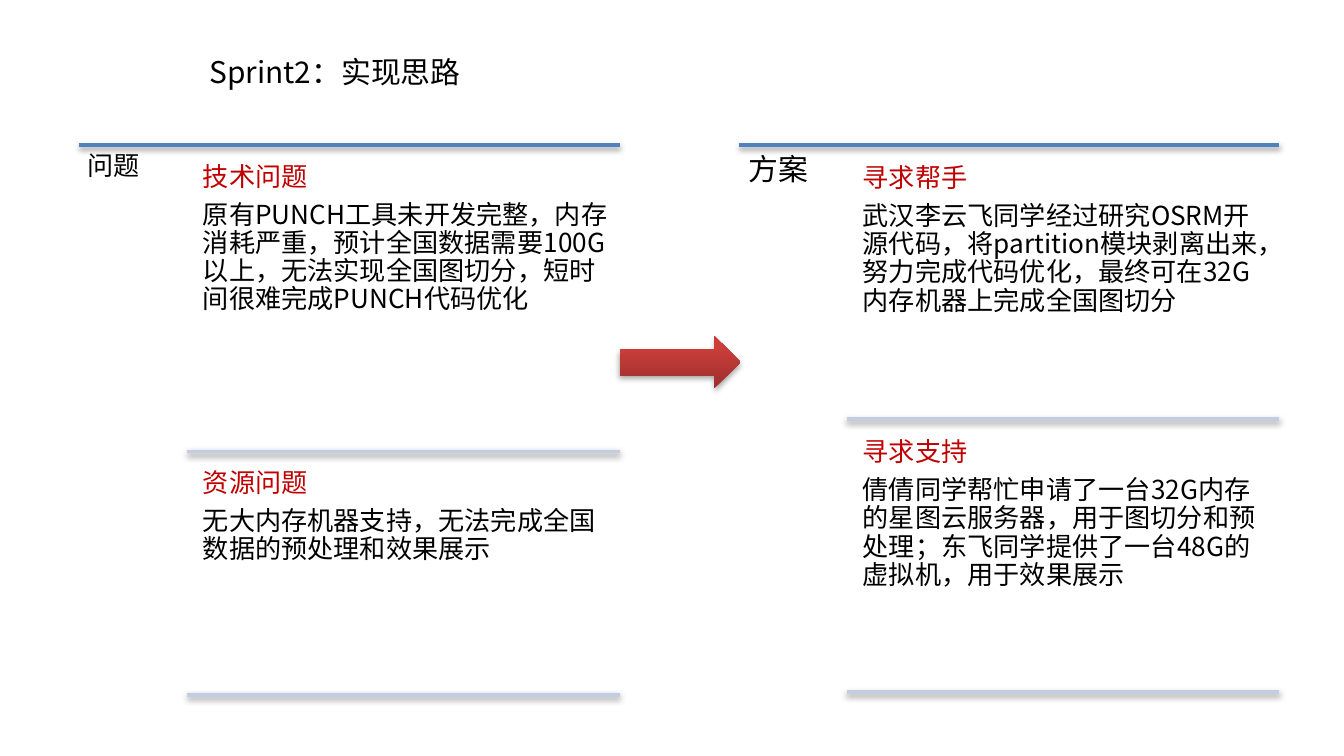
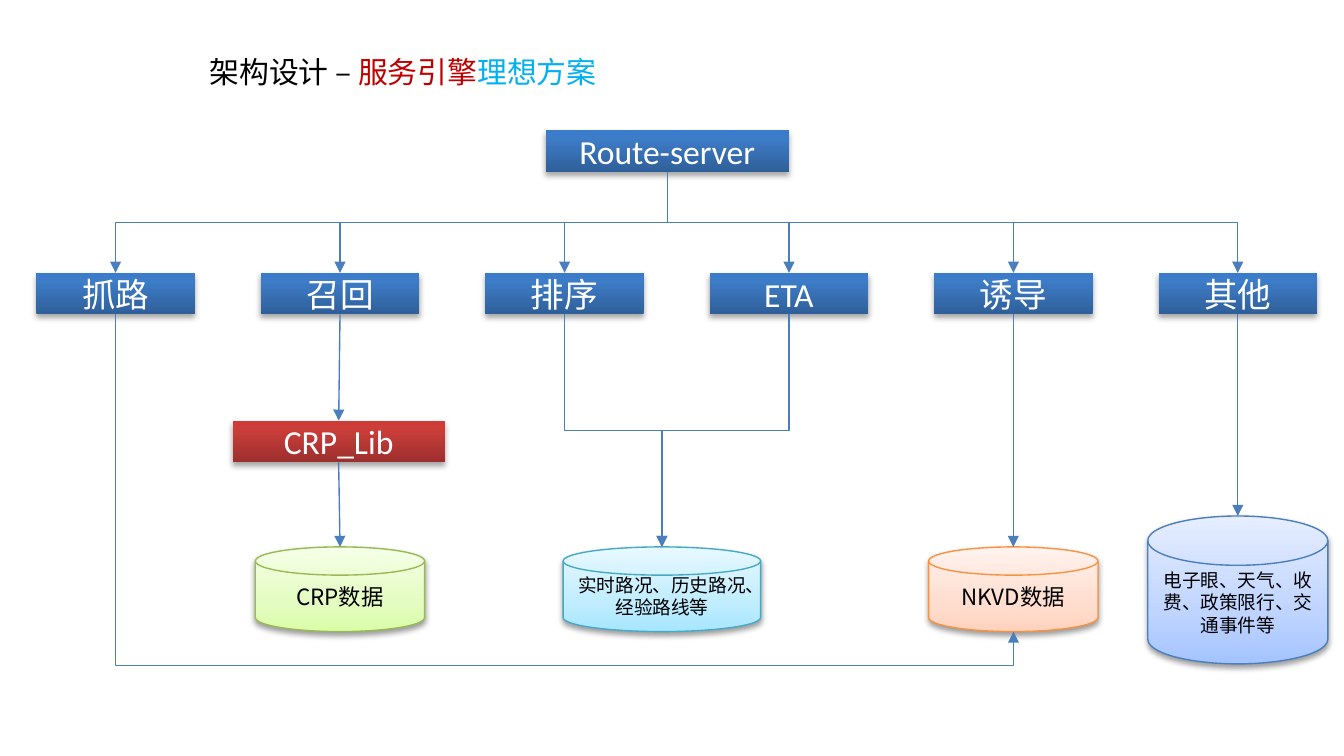
from copy import deepcopy

from lxml import etree
from pptx import Presentation
from pptx import util as u
from pptx.dml.color import RGBColor
from pptx.enum import shapes, text
from pptx.oxml import ns

PX = 9144
FONT = "Noto Sans CJK SC"
LABEL_FONT = "Calibri"

BLACK = RGBColor(0x00, 0x00, 0x00)
WHITE = RGBColor(0xFF, 0xFF, 0xFF)
CRIMSON = RGBColor(0xC0, 0x00, 0x00)
SKY = RGBColor(0x00, 0xB0, 0xF0)
BLUE = RGBColor(0x4F, 0x81, 0xBD)
PALE = RGBColor(0xC2, 0xCD, 0xE1)
LINK = RGBColor(0x4B, 0x7E, 0xBC)
GREEN = RGBColor(0x98, 0xB9, 0x55)
ORANGE = RGBColor(0xF6, 0x92, 0x40)
TEAL = RGBColor(0x46, 0xAA, 0xC5)


def gradient(middle, *colors):
    return list(zip((0, middle, 1), map(RGBColor.from_string, colors)))


BLUE_FILL = gradient(0.8, "2F5F99", "3D7CC7", "3A7CCB")
RED_FILL = gradient(0.8, "9C2F2D", "CB3E3A", "CE3B37")
GREEN_FILL = gradient(0.35, "DAFDA7", "E4FCC2", "F5FFE7")
ORANGE_FILL = gradient(0.35, "FFD2BD", "FFDED0", "FFF2ED")
TEAL_FILL = gradient(0.35, "A7E6FF", "C1EDFF", "E7F8FF")
INDIGO_FILL = gradient(0.35, "A4C4FF", "BFD4FF", "E6EEFF")

SOFT_SHADOW = (20000, 38000)
BLOCK_SHADOW = (23000, 35000)


def px(*lengths):
    return [length * PX for length in lengths]


def add_node(parent, tag, **attributes):
    node = etree.SubElement(parent, ns.qn(tag))
    for key, value in attributes.items():
        node.set(key, str(value))
    return node


def set_shadow(item, shadow=None):
    effects = add_node(item._element.spPr, "a:effectLst")
    if shadow:
        distance, opacity = shadow
        outer = add_node(effects, "a:outerShdw", blurRad=40000, dist=distance,
                         dir=5400000, rotWithShape=0)
        color = add_node(outer, "a:srgbClr", val=BLACK)
        add_node(color, "a:alpha", val=opacity)


def style_span(span, size, color, font=FONT):
    span.font.size = u.Pt(size)
    span.font.color.rgb = color
    span.font.name = font
    add_node(span._r.get_or_add_rPr(), "a:ea", typeface=FONT)


def set_gradient(shape, stops):
    shape.fill.gradient()
    shape.fill.gradient_angle = 90
    stop_list = shape._element.spPr.find(ns.qn("a:gradFill")).find(ns.qn("a:gsLst"))
    stop_list.append(deepcopy(stop_list[0]))
    for stop, (position, color) in zip(shape.fill.gradient_stops, stops):
        stop.position = position
        stop.color.rgb = color


def add_page(deck, *title_parts):
    page = deck.slides.add_slide(deck.slide_layouts[5])
    title = page.shapes.title
    title.left, title.top, title.width, title.height = px(146, 23, 803, 61)
    frame = title.text_frame
    frame.vertical_anchor = text.MSO_ANCHOR.MIDDLE
    para = frame.paragraphs[0]
    para.alignment = text.PP_ALIGN.LEFT
    for words, color in title_parts:
        span = para.add_run()
        span.text = words
        style_span(span, 16, color)
    return page


def add_rule(page, left, right, y, color):
    rule = page.shapes.add_connector(shapes.MSO_CONNECTOR.STRAIGHT, *px(left, y, right, y))
    rule.line.color.rgb = color
    rule.line.width = u.Pt(2)
    set_shadow(rule, SOFT_SHADOW)


def add_text(page, box, size, inset, *lines):
    frame = page.shapes.add_textbox(*px(*box)).text_frame
    frame.word_wrap = True
    frame.margin_left = frame.margin_right = inset * PX
    frame.margin_top = frame.margin_bottom = inset * PX
    frame.text = "\n".join(words for words, color in lines)
    for para, (words, color) in zip(frame.paragraphs, lines):
        para.line_spacing = 0.9
        para.space_after = u.Pt(5)
        style_span(para.runs[0], size, color)


def add_panel(page, left, label, size, inset, gap, topics):
    top, right = 108, left + 402
    add_rule(page, left, right, top, BLUE)
    add_text(page, (left, top, 80, 417), size, inset, (label, BLACK))
    for heading, detail, bottom in topics:
        box = (left + 86, top + gap, 317, bottom - top - gap)
        add_text(page, box, 14, 6, (heading, CRIMSON), (detail, BLACK))
        add_rule(page, left + 80, right, bottom, PALE)
        top = bottom


def add_block(page, kind, box, fill, shadow, outline=None):
    shape = page.shapes.add_shape(kind, *px(*box))
    set_gradient(shape, fill)
    if outline:
        shape.line.color.rgb = outline
        shape.line.width = u.Pt(0.75)
    else:
        shape.line.fill.background()
    set_shadow(shape, shadow)
    return shape


def set_label(shape, words, size, color, font):
    frame = shape.text_frame
    frame.word_wrap = True
    frame.vertical_anchor = text.MSO_ANCHOR.MIDDLE
    frame.text = words
    para = frame.paragraphs[0]
    para.alignment = text.PP_ALIGN.CENTER
    style_span(para.runs[0], size, color, font)


def add_service(page, words, left, top, width, fill=BLUE_FILL):
    shape = add_block(page, shapes.MSO_SHAPE.RECTANGLE, (left, top, width, 31),
                      fill, BLOCK_SHADOW)
    set_label(shape, words, 18, WHITE, LABEL_FONT)
    return shape


def add_store(page, words, size, box, fill, outline):
    shape = add_block(page, shapes.MSO_SHAPE.FLOWCHART_MAGNETIC_DISK, box, fill,
                      SOFT_SHADOW, outline)
    set_label(shape, words, size, BLACK, FONT)
    return shape


def add_link(page, source, target, site=0, bend=None):
    start_x = source.left + source.width // 2
    start_y = source.top + source.height
    end_x = target.left + target.width // 2
    end_y = target.top + (target.height if site == 3 else 0)
    across, down = end_x - start_x, end_y - start_y
    straight = abs(across) <= 2 * PX
    kind = shapes.MSO_CONNECTOR.STRAIGHT if straight else shapes.MSO_CONNECTOR.ELBOW
    link = page.shapes.add_connector(kind, start_x, start_y, end_x, end_y)
    if not straight:
        link.begin_connect(source, 2)
        link.end_connect(target, site)
        link.left = (start_x + end_x - down) // 2
        link.top = (start_y + end_y - abs(across)) // 2
        link.width, link.height = down, abs(across)
        frame = link._element.spPr.find(ns.qn("a:xfrm"))
        frame.attrib.clear()
        frame.set("rot", "16200000" if across > 0 else "5400000")
        if across > 0:
            frame.set("flipH", "1")
    if bend:
        geometry = link._element.spPr.find(ns.qn("a:prstGeom"))
        guides = geometry.find(ns.qn("a:avLst"))
        add_node(guides, "a:gd", name="adj1", fmla=f"val {bend}")
    link.line.color.rgb = LINK
    link.line.width = u.Pt(0.75)
    add_node(link._element.spPr.find(ns.qn("a:ln")), "a:tailEnd", type="triangle")
    set_shadow(link)


def add_approach_page(deck):
    page = add_page(deck, ("Sprint2：实现思路", BLACK))
    add_panel(page, 59, "问题", 14, 6, 8, [
        ("技术问题", "原有PUNCH工具未开发完整，内存消耗严重，预计全国数据需要100G以上，"
         "无法实现全国图切分，短时间很难完成PUNCH代码优化", 336),
        ("资源问题", "无大内存机器支持，无法完成全国数据的预处理和效果展示", 517),
    ])
    add_block(page, shapes.MSO_SHAPE.RIGHT_ARROW, (461, 250, 90, 39), RED_FILL, BLOCK_SHADOW)
    add_panel(page, 550, "方案", 16, 7, 9, [
        ("寻求帮手", "武汉李云飞同学经过研究OSRM开源代码，将partition模块剥离出来，"
         "努力完成代码优化，最终可在32G内存机器上完成全国图切分", 312),
        ("寻求支持", "倩倩同学帮忙申请了一台32G内存的星图云服务器，用于图切分和预处理；"
         "东飞同学提供了一台48G的虚拟机，用于效果展示", 515),
    ])


def add_architecture_page(deck):
    page = add_page(deck, ("架构设计 – ", BLACK), ("服务引擎", CRIMSON), ("理想方案", SKY))
    server = add_service(page, "Route-server", 406, 97, 181)
    names = ["抓路", "召回", "排序", "ETA", "诱导", "其他"]
    services = [add_service(page, name, 27 + 167 * column, 203, 118)
                for column, name in enumerate(names)]
    grab, recall, rank, eta, guide, other = services
    library = add_service(page, "CRP_Lib", 173, 313, 158, RED_FILL)

    crp = add_store(page, "CRP数据", 12, (190, 407, 126, 63), GREEN_FILL, GREEN)
    traffic = add_store(page, "实时路况、历史路况、经验路线等", 10, (419, 407, 147, 63),
                        TEAL_FILL, TEAL)
    nkvd = add_store(page, "NKVD数据", 12, (691, 407, 126, 63), ORANGE_FILL, ORANGE)
    events = add_store(page, "电子眼、天气、收费、政策限行、交通事件等", 10,
                       (854, 384, 134, 110), INDIGO_FILL, LINK)

    for service in services:
        add_link(page, server, service)
    for source, target in [(recall, library), (library, crp), (guide, nkvd), (other, events)]:
        add_link(page, source, target)
    for source in (rank, eta):
        add_link(page, source, traffic, site=1, bend=50000)
    add_link(page, grab, nkvd, site=3, bend=110600)


def main():
    deck = Presentation()
    deck.slide_width = 1000 * PX
    deck.slide_height = deck.slide_width * 9 // 16
    add_approach_page(deck)
    add_architecture_page(deck)
    deck.save("out.pptx")


if __name__ == "__main__":
    main()
